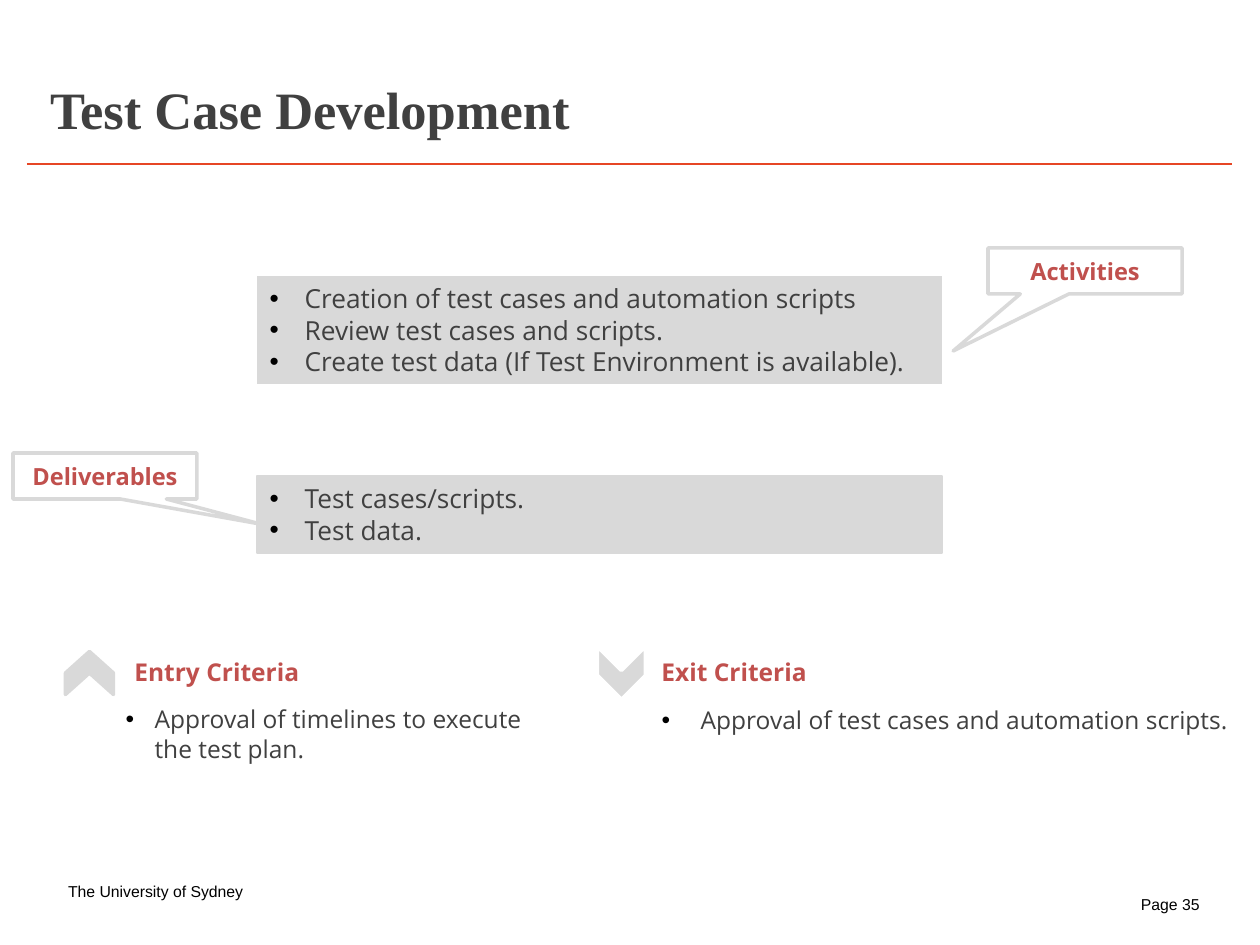
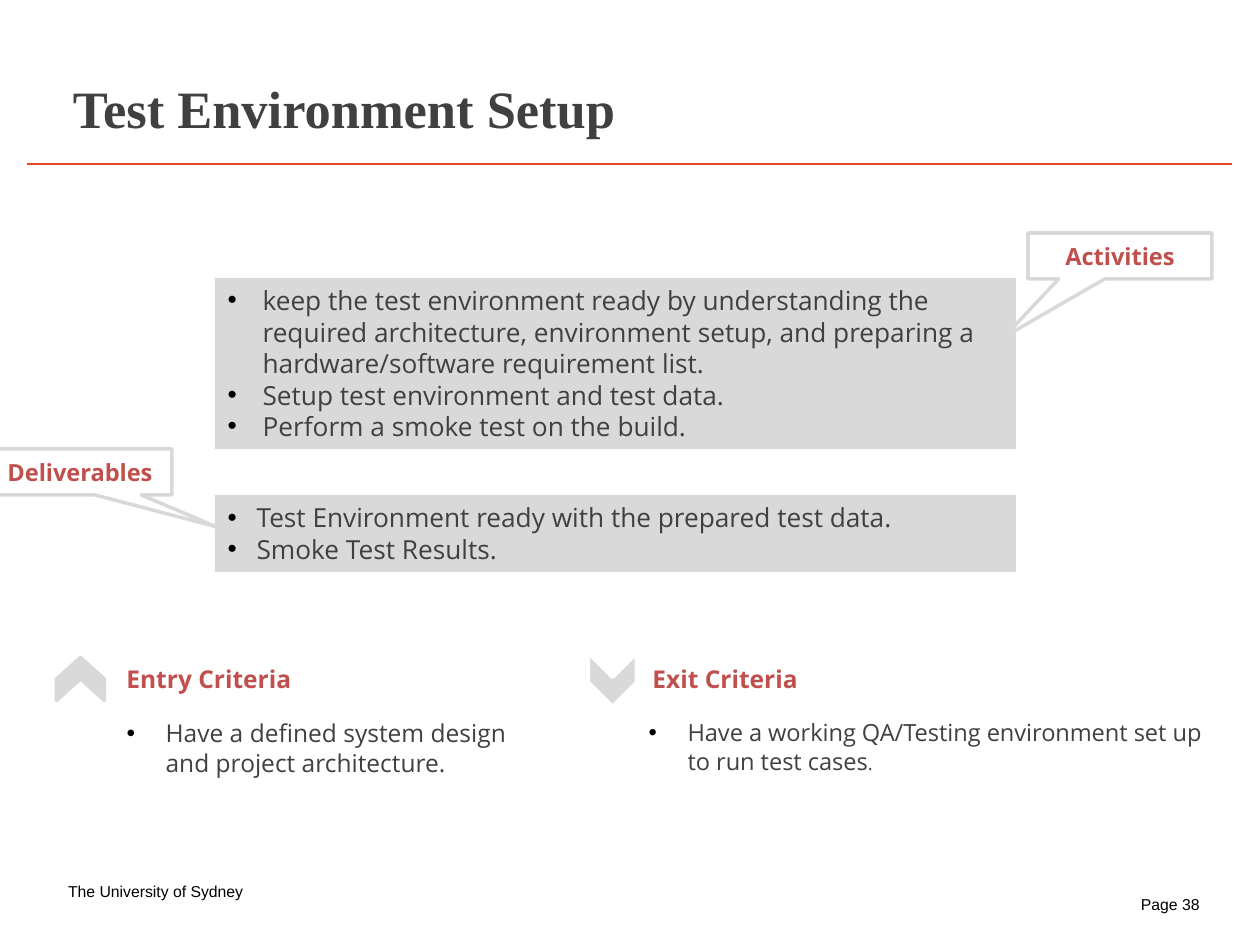
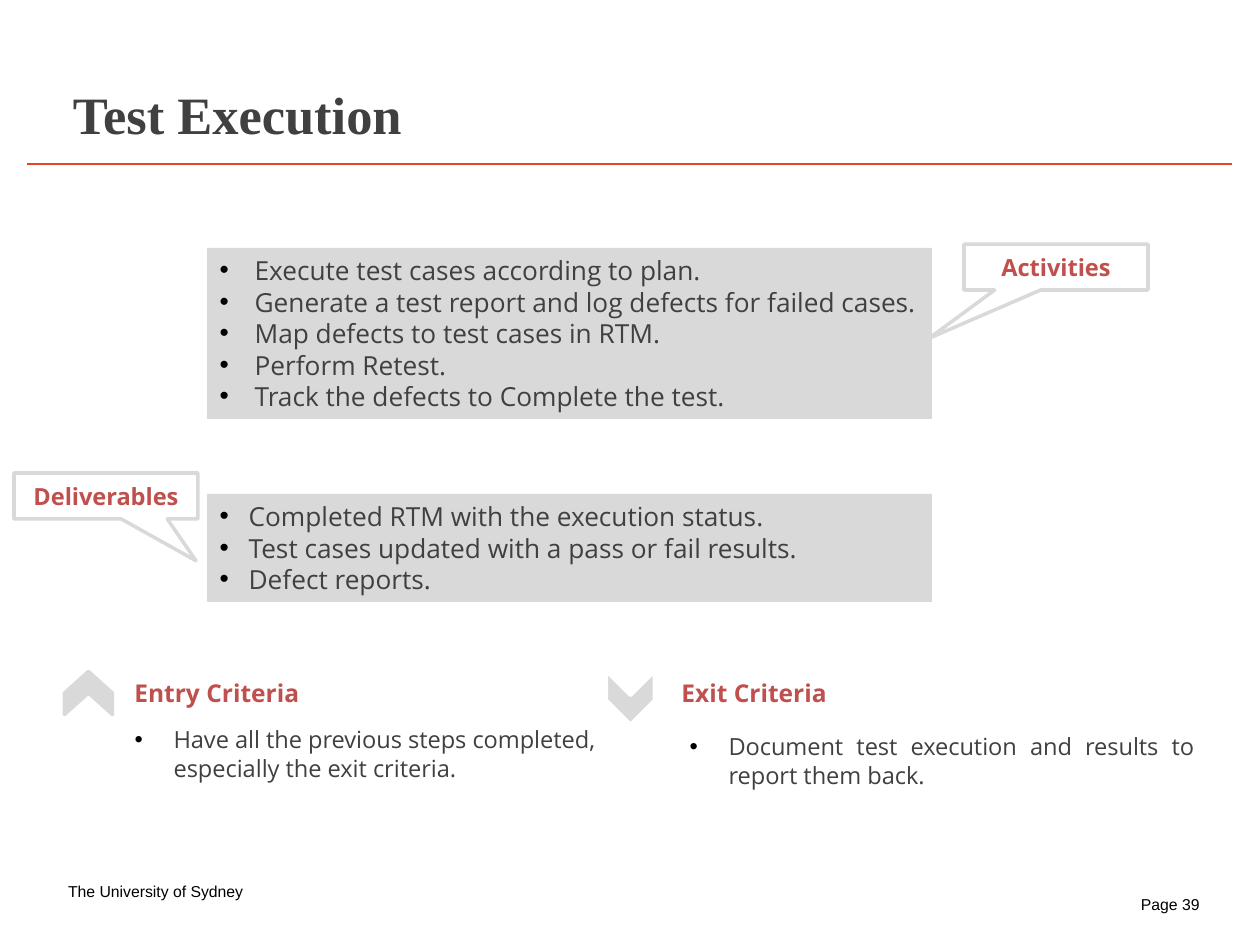
from dataclasses import dataclass

from pptx import Presentation
from pptx import util as u
from pptx.dml.color import RGBColor
from pptx.enum import shapes, text
from pptx.oxml import ns, xmlchemy

PX = 914400 / 126
LEFT, JUSTIFY, CENTER = text.PP_ALIGN.LEFT, text.PP_ALIGN.JUSTIFY, text.PP_ALIGN.CENTER


# Theme: every colour, font and type size
@dataclass(frozen=True)
class Theme:
    ink: str = "404040"
    accent: str = "C0504D"
    rule: str = "E64625"
    grey: str = "D9D9D9"
    white: str = "FFFFFF"
    black: str = "000000"
    title_font: str = "Times New Roman"
    body_font: str = "Open Sans"
    footer_font: str = "Arial"
    title_size: float = 30
    panel_size: float = 15
    criteria_size: float = 14
    small_size: float = 13.5
    stop_size: float = 10.5
    footer_size: float = 9


THEME = Theme()


# Content of one slide; boxes are left, top, width, height in px
@dataclass
class Bullets:
    box: tuple
    items: list  # each a string, or a list of (string, size) pairs
    hang: int
    size: float
    align: int = JUSTIFY
    fill: str = None
    outline: str = None


@dataclass
class Stage:
    title: str
    title_box: tuple
    page: int
    activities: Bullets
    deliverables: Bullets
    entry: Bullets
    exit: Bullets
    activities_callout: tuple  # corner, width, pointer x, pointer y
    deliverables_callout: tuple
    entry_label: tuple  # left, top
    exit_label: tuple
    entry_chevron: tuple
    exit_chevron: tuple


# Helpers
def px(length):
    return u.Emu(round(length * PX))


def rgb(code):
    return RGBColor.from_string(code)


def place(shape, box):
    shape.left, shape.top, shape.width, shape.height = map(px, box)


def add_run(paragraph, words, size, color, font, bold=False):
    run = paragraph.add_run()
    run.text = words
    run.font.size, run.font.name, run.font.bold = u.Pt(size), font, bold
    run.font.color.rgb = rgb(color)


def add_child(parent, tag, **attributes):
    child = xmlchemy.OxmlElement(tag)
    for key, value in attributes.items():
        child.set(key, value)
    parent.append(child)
    return child


def set_bullet(paragraph, hang):
    props = paragraph._p.get_or_add_pPr()
    props.set("marL", str(px(hang)))
    props.set("indent", str(-px(hang)))
    add_child(add_child(props, "a:buClr"), "a:srgbClr", val=THEME.black)
    add_child(props, "a:buFont", typeface="Arial")
    add_child(props, "a:buChar", char="•")


# Elements
def prepare_frame(placeholder):
    frame = placeholder.text_frame
    frame.word_wrap = True
    frame.auto_size = text.MSO_AUTO_SIZE.NONE
    frame.vertical_anchor = text.MSO_ANCHOR.TOP
    return frame


def fill_title(slide, words, box):
    title = slide.shapes.title
    place(title, box)
    frame = prepare_frame(title)
    frame.margin_left = frame.margin_right = px(9)
    frame.margin_top = frame.margin_bottom = px(4)
    paragraph = frame.paragraphs[0]
    paragraph.alignment = LEFT
    add_run(paragraph, words, THEME.title_size, THEME.ink, THEME.title_font, True)


def fill_list(placeholder, bullets):
    place(placeholder, bullets.box)
    if bullets.fill:
        placeholder.fill.solid()
        placeholder.fill.fore_color.rgb = rgb(bullets.fill)
    if bullets.outline:
        placeholder.line.color.rgb = rgb(bullets.outline)
        placeholder.line.width = u.Pt(0.75)
    frame = prepare_frame(placeholder)
    for number, item in enumerate(bullets.items):
        paragraph = frame.add_paragraph() if number else frame.paragraphs[0]
        set_bullet(paragraph, bullets.hang)
        paragraph.alignment = bullets.align
        paragraph.space_before = u.Pt(0)
        runs = [(item, bullets.size)] if isinstance(item, str) else item
        for words, size in runs:
            add_run(paragraph, words, size, THEME.ink, THEME.body_font)


def add_outlined(slide, kind, box, fill, line):
    shape = slide.shapes.add_shape(kind, *map(px, box))
    shape.shadow.inherit = False
    shape.fill.solid()
    shape.fill.fore_color.rgb = rgb(fill)
    shape.line.color.rgb = rgb(line)
    shape.line.width = u.Pt(2)
    add_child(shape._element.spPr.find(ns.qn("a:ln")), "a:round")
    return shape


def add_callout(slide, words, corner, width, pointer_x, pointer_y):
    callout = add_outlined(slide, shapes.MSO_SHAPE.RECTANGULAR_CALLOUT,
                           (*corner, width, 46), THEME.white, THEME.grey)
    callout.adjustments[0], callout.adjustments[1] = pointer_x, pointer_y
    frame = callout.text_frame
    frame.word_wrap = True
    frame.vertical_anchor = text.MSO_ANCHOR.MIDDLE
    paragraph = frame.paragraphs[0]
    paragraph.alignment = CENTER
    add_run(paragraph, words, THEME.small_size, THEME.accent, THEME.body_font, True)


def add_chevron(slide, corner, length, rotation, line):
    box = (*corner, length, 48)
    chevron = add_outlined(slide, shapes.MSO_SHAPE.CHEVRON, box, THEME.grey, line)
    chevron.rotation = rotation


def add_text(slide, box):
    frame = slide.shapes.add_textbox(*map(px, box)).text_frame
    frame.word_wrap = True
    return frame


def add_label(slide, words, corner):
    frame = add_text(slide, (*corner, 209, 43))
    add_run(frame.paragraphs[0], words, THEME.criteria_size, THEME.accent, THEME.body_font, True)


def add_footer(slide, words, box):
    frame = add_text(slide, box)
    frame.margin_left = frame.margin_top = frame.margin_right = frame.margin_bottom = 0
    paragraph = frame.paragraphs[0]
    paragraph.line_spacing = 1.17
    add_run(paragraph, words, THEME.footer_size, THEME.black, THEME.footer_font)


def add_frame(slide, page):
    rule = slide.shapes.add_connector(
        shapes.MSO_CONNECTOR.STRAIGHT, px(27), px(164), px(1232), px(164))
    rule.line.color.rgb = rgb(THEME.rule)
    rule.line.width = u.Pt(0.75)
    add_child(rule._element.spPr, "a:effectLst")
    add_footer(slide, "The University of Sydney", (68, 879, 207, 19))
    add_footer(slide, f"Page {page}", (1141, 892, 66, 20))


def add_stage(prs, stage):
    # The Comparison layout holds a title and four bodies
    slide = prs.slides.add_slide(prs.slide_layouts.get_by_name("Comparison"))
    fill_title(slide, stage.title, stage.title_box)
    lists = (stage.activities, stage.deliverables, stage.entry, stage.exit)
    for idx, bullets in enumerate(lists, start=1):
        fill_list(slide.placeholders[idx], bullets)
    add_callout(slide, "Activities", *stage.activities_callout)
    add_callout(slide, "Deliverables", *stage.deliverables_callout)
    add_label(slide, "Entry Criteria", stage.entry_label)
    add_chevron(slide, stage.entry_chevron, 43, 270, THEME.grey)
    add_label(slide, "Exit Criteria", stage.exit_label)
    add_chevron(slide, stage.exit_chevron, 53, 90, THEME.white)
    add_frame(slide, stage.page)


def panel(box, items, hang, align=JUSTIFY, outline=None):
    return Bullets(box, items, hang, THEME.panel_size, align, THEME.grey, outline)


# Content
STAGES = [
    Stage(
        title="Test Case Development", title_box=(41, 73, 566, 72), page=35,
        activities=panel((257, 276, 685, 108), [
            "Creation of test cases and automation scripts",
            "Review test cases and scripts.",
            "Create test data (If Test Environment is available).",
        ], 35),
        deliverables=panel((257, 476, 685, 77), ["Test cases/scripts.", "Test data."],
                           35, outline=THEME.grey),
        entry=Bullets((113, 698, 430, 72), ["Approval of timelines to execute the test plan."],
                      29, THEME.criteria_size, LEFT),
        exit=Bullets((649, 699, 606, 43), ["Approval of test cases and automation scripts."],
                     39, THEME.criteria_size),
        activities_callout=((988, 248), 194, -0.68, 1.74),
        deliverables_callout=((13, 453), 184, 0.85, 1.05),
        entry_label=(122, 651), exit_label=(649, 651),
        entry_chevron=(68, 649), exit_chevron=(595, 649),
    ),
    Stage(
        title="Test Environment Setup", title_box=(64, 72, 585, 79), page=38,
        activities=panel((215, 278, 801, 171), [
            "keep the test environment ready by understanding the required architecture, "
            "environment setup, and preparing a hardware/software requirement list.",
            "Setup test environment and test data.",
            "Perform a smoke test on the build.",
        ], 35, LEFT),
        deliverables=panel((215, 495, 801, 77), [
            "Test Environment ready with the prepared test data.",
            "Smoke Test Results.",
        ], 29),
        entry=Bullets((114, 712, 455, 72),
                      ["Have a defined system design and project architecture."],
                      39, THEME.criteria_size, LEFT),
        exit=Bullets((636, 712, 585, 71), [[
            ("Have a working QA/Testing environment set up to run test cases", THEME.small_size),
            (".", THEME.stop_size),
        ]], 39, THEME.small_size, LEFT),
        activities_callout=((1028, 233), 184, -0.63, 1.76),
        deliverables_callout=((-12, 449), 184, 0.74, 1.19),
        entry_label=(114, 658), exit_label=(640, 658),
        entry_chevron=(59, 655), exit_chevron=(586, 656),
    ),
    Stage(
        title="Test Execution", title_box=(64, 78, 456, 78), page=39,
        activities=panel((207, 248, 725, 171), [
            "Execute test cases according to plan.",
            "Generate a test report and log defects for failed cases.",
            "Map defects to test cases in RTM.",
            "Perform Retest.",
            "Track the defects to Complete the test.",
        ], 35),
        deliverables=panel((207, 494, 725, 108), [
            "Completed RTM with the execution status.",
            "Test cases updated with a pass or fail results.",
            "Defect reports.",
        ], 29),
        entry=Bullets((122, 719, 490, 71),
                      ["Have all the previous steps completed, especially the exit criteria."],
                      39, THEME.small_size, LEFT),
        exit=Bullets((677, 726, 530, 71),
                     ["Document test execution and results to report them back."],
                     39, THEME.small_size),
        activities_callout=((964, 244), 184, -0.69, 1.55),
        deliverables_callout=((14, 473), 184, 0.49, 1.41),
        entry_label=(122, 672), exit_label=(669, 672),
        entry_chevron=(67, 669), exit_chevron=(604, 674),
    ),
]


def main():
    prs = Presentation()
    prs.slide_width, prs.slide_height = px(1260), px(945)
    for stage in STAGES:
        add_stage(prs, stage)
    prs.save("out.pptx")


if __name__ == "__main__":
    main()
